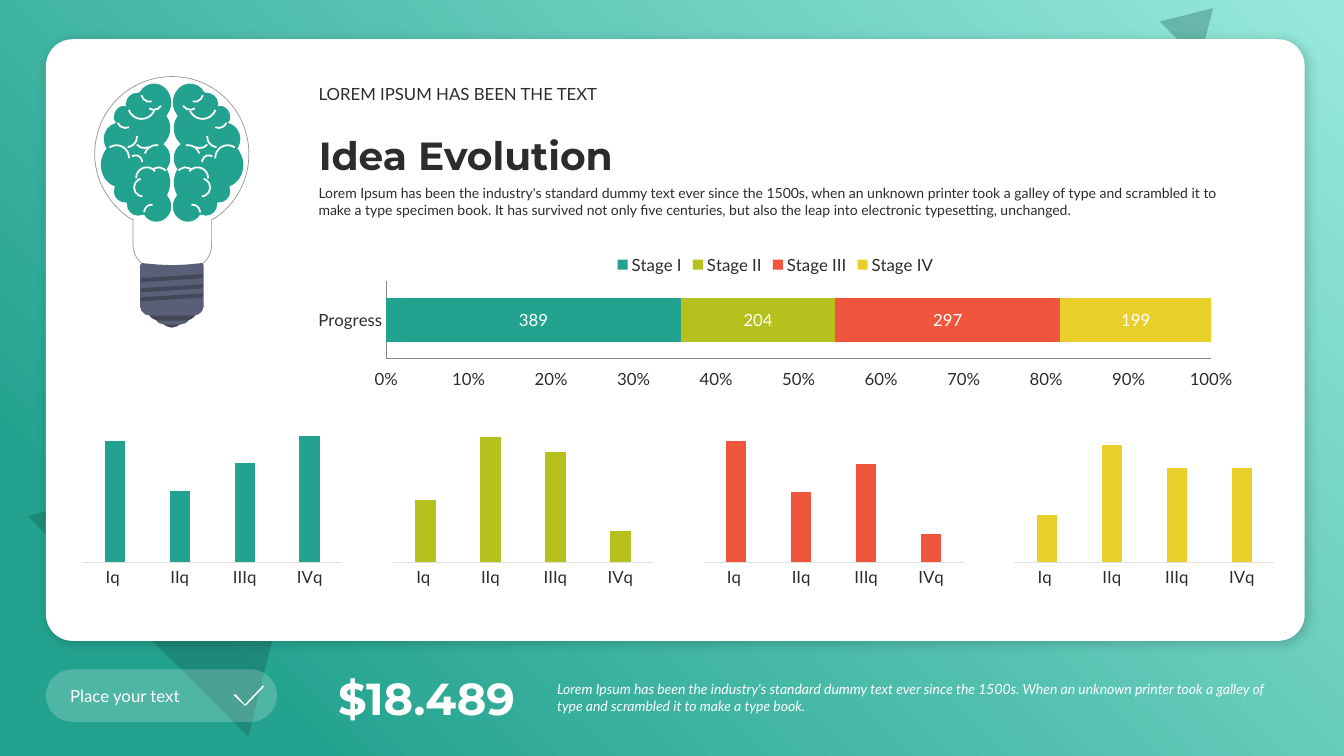
from lxml.etree import SubElement
from pptx import Presentation
from pptx.chart.data import CategoryChartData
from pptx.dml.color import RGBColor
from pptx.enum.chart import XL_CHART_TYPE as Chart, XL_LEGEND_POSITION as Legend
from pptx.enum.chart import XL_TICK_LABEL_POSITION as TickLabel, XL_TICK_MARK as Tick
from pptx.enum.shapes import MSO_SHAPE as Shape
from pptx.enum.text import MSO_ANCHOR as Anchor, MSO_AUTO_SIZE as AutoSize, PP_ALIGN as Align
from pptx.oxml.ns import qn
from pptx.util import Cm, Pt

GRID = 2.54 / 100
TEAL, LIME, RED, YELLOW = STAGE_COLORS = ["23A38F", "B7C11E", "F0563D", "EACF2A"]
WHITE, INK, SLATE, DARK_SLATE = "FFFFFF", "2C2C2C", "595F77", "434759"
AXIS = 341.5

GLASS = [(171, 76), (213, 76, 247, 110, 247, 153), (247, 179, 234, 202, 214, 216), (210, 218),
         (210, 243), (210, 256, 200, 266, 188, 266), (154, 266), (142, 266, 132, 256, 132, 243),
         (132, 218), (128, 216), (108, 202, 94, 179, 94, 153), (94, 110, 128, 76, 171, 76)]
LOBE = [(153, 83), (162, 83, 170, 91, 170, 102), (170, 105, 169, 109, 167, 112), (165, 115),
        (168, 119, 169, 123, 169, 127), (169, 133, 167, 138, 163, 142), (162, 143), (163, 144),
        (167, 147, 169, 152, 169, 157), (169, 161, 168, 164, 166, 167), (165, 168), (166, 169),
        (168, 173, 169, 177, 169, 181), (169, 185, 168, 189, 166, 193), (165, 194), (166, 194),
        (168, 197, 170, 200, 170, 205), (170, 213, 163, 220, 155, 220),
        (150, 220, 145, 217, 143, 213), (142, 213), (140, 214, 139, 214, 137, 214),
        (131, 214, 126, 209, 126, 203), (126, 201), (125, 201), (118, 201, 113, 196, 113, 190),
        (113, 188, 113, 187, 114, 185), (110, 183), (104, 179, 100, 172, 100, 163),
        (100, 158, 102, 154, 104, 150), (106, 147), (105, 146), (104, 144, 103, 141, 103, 138),
        (103, 130, 108, 124, 115, 122), (116, 122), (114, 120), (113, 119, 113, 117, 113, 116),
        (113, 110, 118, 105, 123, 105), (125, 106), (125, 103), (125, 97, 130, 92, 137, 92),
        (138, 92), (139, 91), (142, 86, 147, 83, 153, 83)]
FOLDS = [(144, 92, 17, 122.3, None), (140, 84, 17, 167.1, None),
         (127, 91, 27, 167.1, (130.12, 211.95)), (103, 144, 25, 167.1, (41.61, 117.24)),
         (128, 154, 13, 167.1, (41.61, 117.24)), (116, 110, 17, 156.5, None),
         (149, 166, 17, 126.4, (63.03, 117.24)), (135, 166, 21, 126.4, (30.97, 117.24)),
         (143, 203, 15, 126.4, (30.97, 90.77)), (143, 144, 24, 158.8, (23.82, 72.33)),
         (133, 177, 18, 58.3, (21.7, 117.24)), (134, 129, 18, 21.9, (23.82, 72.33)),
         (115, 125, 21, 110.9, (147.33, 199.6))]
SOCKET = [(139, 263), (139, 262, 140, 261, 141, 261), (151, 262, 160, 263, 171, 263),
          (182, 263, 191, 262, 200, 261), (201, 261, 202, 262, 202, 263), (202, 304),
          (202, 305, 201, 306, 200, 306), (141, 306), (140, 306, 139, 305, 139, 304), (139, 263)]
BASE = [(160, 305, 21, 20, DARK_SLATE), (153, 302, 36, 20, SLATE),
        (146, 294, 50, 24, DARK_SLATE), (139, 294, 63, 19, SLATE)]
CHECK = [(262, 681), (261, 680), (243, 699), (234, 689), (232, 689), (232, 690), (243, 700), (244, 700)]
QUARTERS = [([96, 56, 78, 100], 111.1), ([50, 100, 88, 25], 112.5),
            ([100, 58, 81, 23], 116.3), ([40, 100, 80, 80], 120)]


def rgb(value):
    return RGBColor.from_string(value)


class Page:
    def __init__(self, deck):
        self.slide = deck.slides.add_slide(deck.slide_layouts[5])
        self.canvas = self.slide.shapes

    def group(self):
        self.canvas = self.slide.shapes.add_group_shape().shapes

    def ungroup(self):
        self.canvas = self.slide.shapes

    def paint(self, item, fill, line=None, weight=0.5, alpha=None):
        item.shadow.inherit = False
        if fill:
            item.fill.solid()
            item.fill.fore_color.rgb = rgb(fill)
        else:
            item.fill.background()
        if alpha:
            tint = item.element.spPr.find(qn("a:solidFill"))[0]
            SubElement(tint, qn("a:alpha"), val=str(alpha * 1000))
        if line:
            item.line.color.rgb = rgb(line)
            item.line.width = Pt(weight)
        else:
            item.line.fill.background()
        return item

    def shape(self, kind, box, fill=None, turn=0, adjust=None, **style):
        item = self.canvas.add_shape(kind, *(Cm(v) for v in box))
        item.rotation = turn
        for index, value in enumerate(adjust or ()):
            item.adjustments[index] = value
        return self.paint(item, fill, **style)

    def grid_shape(self, kind, box, *args, **style):
        return self.shape(kind, [v * GRID for v in box], *args, **style)

    def outline(self, parts, fill, mirrored=False, **style):
        curves = [[(Cm((AXIS - x if mirrored else x) * GRID), Cm(y * GRID))
                   for x, y in zip(part[::2], part[1::2])] for part in parts]
        builder = self.canvas.build_freeform(*curves[0][0])
        builder.add_line_segments([curve[-1] for curve in curves[1:]], close=True)
        item = builder.convert_to_shape()
        route = item.element.spPr.find(".//" + qn("a:path"))
        for straight, curve in zip(route.findall(qn("a:lnTo")), curves[1:]):
            if len(curve) == 3:
                bend = SubElement(route, qn("a:cubicBezTo"))
                for x, y in curve:
                    SubElement(bend, qn("a:pt"), x=str(x - item.left), y=str(y - item.top))
                route.replace(straight, bend)
        return self.paint(item, fill, **style)

    def fold(self, x, y, size, turn, adjust, mirrored):
        left = AXIS - x - size if mirrored else x
        arc = self.grid_shape(Shape.ARC, (left, y, size, size), None, 360 - turn if mirrored else turn,
                              adjust, line=WHITE, weight=1.25)
        if mirrored:
            arc.element.spPr.find(qn("a:xfrm")).set("flipH", "1")

    def radial(self, item, stops):
        item.fill.gradient()
        gradient = item.element.spPr.find(qn("a:gradFill"))
        for child in list(gradient):
            gradient.remove(child)
        stop_list = SubElement(gradient, qn("a:gsLst"))
        for place, value in stops:
            stop = SubElement(stop_list, qn("a:gs"), pos=str(place * 1000))
            SubElement(stop, qn("a:srgbClr"), val=value)
        sweep = SubElement(gradient, qn("a:path"), path="circle")
        SubElement(sweep, qn("a:fillToRect"), l="100000", b="100000")

    def drop_shadow(self, item):
        effects = item.element.spPr.find(qn("a:effectLst"))
        shadow = SubElement(effects, qn("a:outerShdw"), blurRad=str(Pt(8)), dist=str(Pt(3)),
                            dir="2700000", algn="tl", rotWithShape="0")
        tint = SubElement(shadow, qn("a:srgbClr"), val="000000")
        SubElement(tint, qn("a:alpha"), val="20000")

    def text(self, words, box, size, color=INK, font="Lato", bold=False, italic=False,
             anchor=Anchor.TOP, align=Align.LEFT, after=0, holder=None):
        holder = holder or self.canvas.add_textbox(0, 0, 0, 0)
        holder.left, holder.top, holder.width, holder.height = (Cm(v) for v in box)
        frame = holder.text_frame
        frame.text, frame.word_wrap = words, True
        frame.auto_size, frame.vertical_anchor = AutoSize.SHAPE_TO_FIT_TEXT, anchor
        line = frame.paragraphs[0]
        line.alignment, line.space_after = align, Pt(after)
        line.font.name, line.font.size = font, Pt(size)
        line.font.bold, line.font.italic = bold, italic
        line.font.color.rgb = rgb(color)

    def title(self, words, box, **style):
        holder = self.slide.shapes.title
        holder.element.getparent().append(holder.element)
        self.text(words, box, holder=holder, **style)

    def chart(self, kind, box, categories, series, colors, gap, overlap, size):
        data = CategoryChartData()
        data.categories = categories
        for name, values in series:
            data.add_series(name, values)
        chart = self.canvas.add_chart(kind, *(Cm(v) for v in box), data).chart
        chart.has_title = chart.has_legend = False
        chart.font.name, chart.font.size = "Lato", Pt(size)
        chart.font.color.rgb = rgb(INK)
        plot = chart.plots[0]
        plot.gap_width, plot.overlap, plot.vary_by_categories = gap, overlap, False
        for bars, color in zip(plot.series, colors):
            bars.format.fill.solid()
            bars.format.fill.fore_color.rgb = rgb(color)
        for axis in (chart.category_axis, chart.value_axis):
            axis.major_tick_mark = axis.minor_tick_mark = Tick.NONE
            axis.has_major_gridlines = False
        return chart

    def quarter_chart(self, box, values, top, color):
        chart = self.chart(Chart.COLUMN_CLUSTERED, box, ["Iq ", "IIq", "IIIq", "IVq"],
                           [("Series 1", values)], [color], 219, -27, 10)
        quarters, amounts = chart.category_axis, chart.value_axis
        quarters.format.line.color.rgb = rgb("DFDFDF")
        quarters.format.line.width = Pt(0.75)
        label = quarters.tick_labels.font
        label.name, label.size, label.color.rgb = "Lato", Pt(12), rgb(INK)
        amounts.visible = False
        amounts.minimum_scale, amounts.maximum_scale = 0, top
        area = chart.element.find(".//" + qn("c:plotArea"))
        for old in area.findall(qn("c:layout")):
            area.remove(old)
        layout = SubElement(area, qn("c:layout"))
        area.insert(0, layout)
        manual = SubElement(layout, qn("c:manualLayout"))
        for tag, value in (("layoutTarget", "inner"), ("xMode", "edge"), ("yMode", "edge"),
                           ("x", "0.024"), ("y", "0.095"), ("w", "0.952"), ("h", "0.635")):
            SubElement(manual, qn("c:" + tag), val=value)

    def progress_chart(self, box, stages):
        chart = self.chart(Chart.BAR_STACKED_100, box, ["Progress"], stages, STAGE_COLORS, 75, 100, 12)
        chart.has_legend = True
        chart.legend.position, chart.legend.include_in_layout = Legend.TOP, False
        chart.value_axis.tick_label_position = TickLabel.LOW
        chart.value_axis.tick_labels.number_format = "0%"
        chart.value_axis.tick_labels.number_format_is_linked = False
        for bars in chart.plots[0].series:
            bars.data_labels.show_value = True
            bars.data_labels.font.color.rgb = rgb(WHITE)


def main():
    deck = Presentation()
    deck.slide_width, deck.slide_height = Cm(33.87), Cm(19.05)
    page = Page(deck)

    page.radial(page.shape(Shape.RECTANGLE, (0, 0, 33.87, 19.05), TEAL), [(0, "98E9DC"), (85, TEAL)])
    for box in ((1.85, 10.21, 7.87, 6.53), (29.44, 0.03, 1.42, 1.19)):
        page.shape(Shape.ISOSCELES_TRIANGLE, box, "115248", 45, alpha=30)
    page.drop_shadow(page.shape(Shape.ROUNDED_RECTANGLE, (1.16, 0.99, 31.72, 15.16), WHITE, adjust=[0.044]))

    page.group()
    page.shape(Shape.ROUNDED_RECTANGLE, (1.16, 16.87, 5.82, 1.32), WHITE, adjust=[0.5], alpha=20)
    page.outline(CHECK, WHITE)
    page.text("Place your text", (1.52, 17.15, 4.78, 0.76), 12, WHITE, anchor=Anchor.MIDDLE)
    page.ungroup()
    page.text("$18.489", (8.1, 16.76, 5.13, 1.63), 32, WHITE, "Montserrat", True,
              anchor=Anchor.MIDDLE, align=Align.RIGHT)
    page.text("Lorem Ipsum has been the industry's standard dummy text ever since the 1500s. When an unknown "
              "printer took a galley of type and scrambled it to make a type book.",
              (13.79, 17.02, 18.62, 1.12), 10, WHITE, italic=True, anchor=Anchor.MIDDLE, after=6)

    page.group()
    page.outline(GLASS, WHITE, line="969696")
    for mirrored in (False, True):
        page.outline(LOBE, TEAL, mirrored)
        for fold in FOLDS:
            page.fold(*fold, mirrored)
    for *box, color in BASE:
        page.grid_shape(Shape.ROUNDED_RECTANGLE, box, color, adjust=[0.5])
    page.outline(SOCKET, SLATE)
    for top in (274, 284, 293):
        page.grid_shape(Shape.PARALLELOGRAM, (139, top, 63, 4), DARK_SLATE, 356.4, [0.31])
    page.ungroup()

    page.text("Lorem Ipsum has been the industry's standard dummy text ever since the 1500s, when an unknown "
              "printer took a galley of type and scrambled it to make a type specimen book. It has survived not "
              "only five centuries, but also the leap into electronic typesetting, unchanged.",
              (7.78, 4.52, 23.75, 1.12), 10, after=6)
    page.title("Idea Evolution", (7.78, 3.18, 23.75, 1.45), size=28, font="Montserrat", bold=True,
               anchor=Anchor.BOTTOM)
    page.text("LOREM IPSUM HAS BEEN THE TEXT", (7.78, 1.98, 23.75, 0.76), 12, anchor=Anchor.BOTTOM)

    for index, ((values, top), color) in enumerate(zip(QUARTERS, STAGE_COLORS)):
        page.quarter_chart((1.91 + 7.83 * index, 10.09, 6.88, 5.59), values, top, color)
    page.progress_chart((7.54, 6.13, 24, 3.73), [("Stage I", [389]), ("Stage II", [204]),
                                                 ("Stage III", [297]), ("Stage IV", [199])])
    deck.save("out.pptx")


if __name__ == "__main__":
    main()
